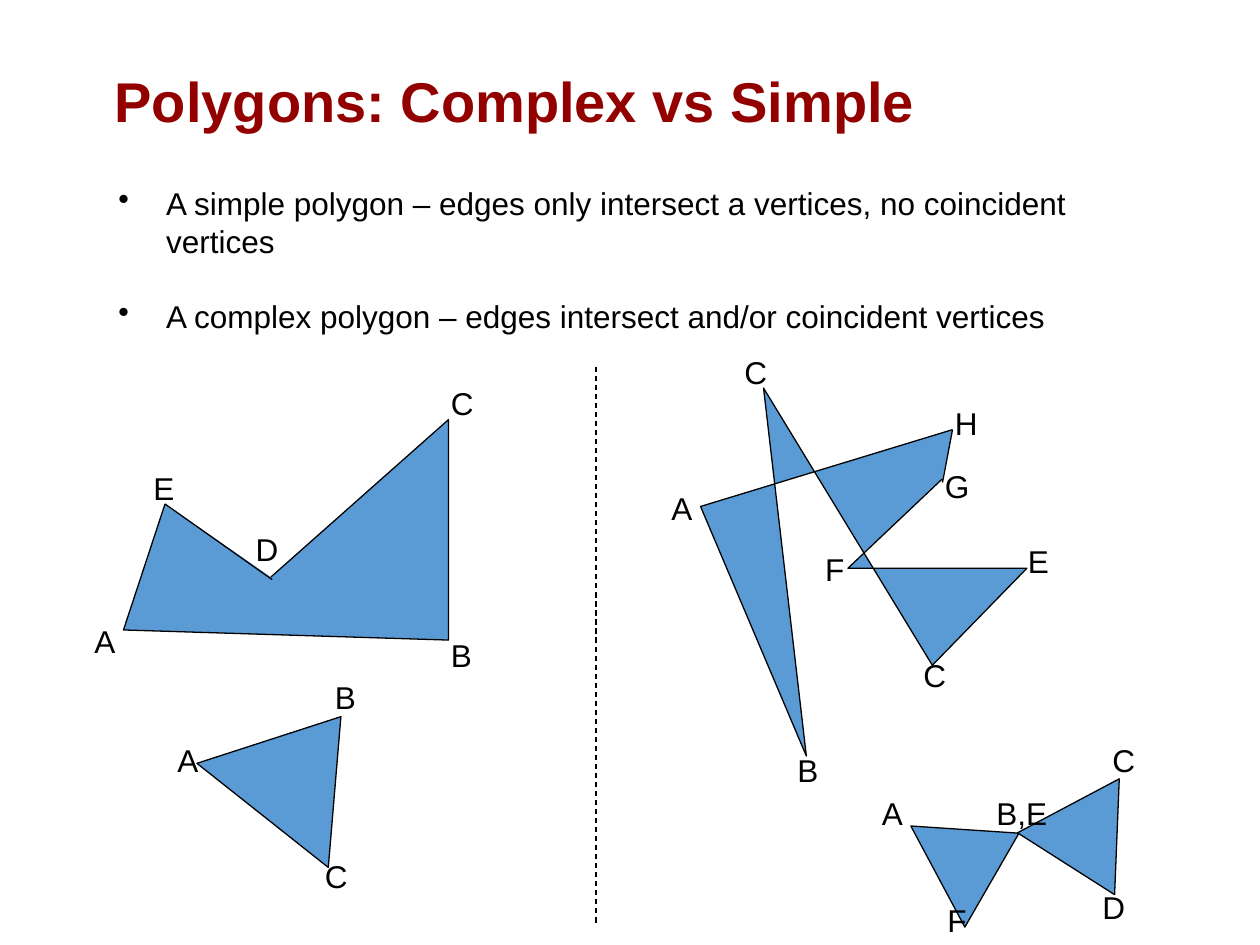
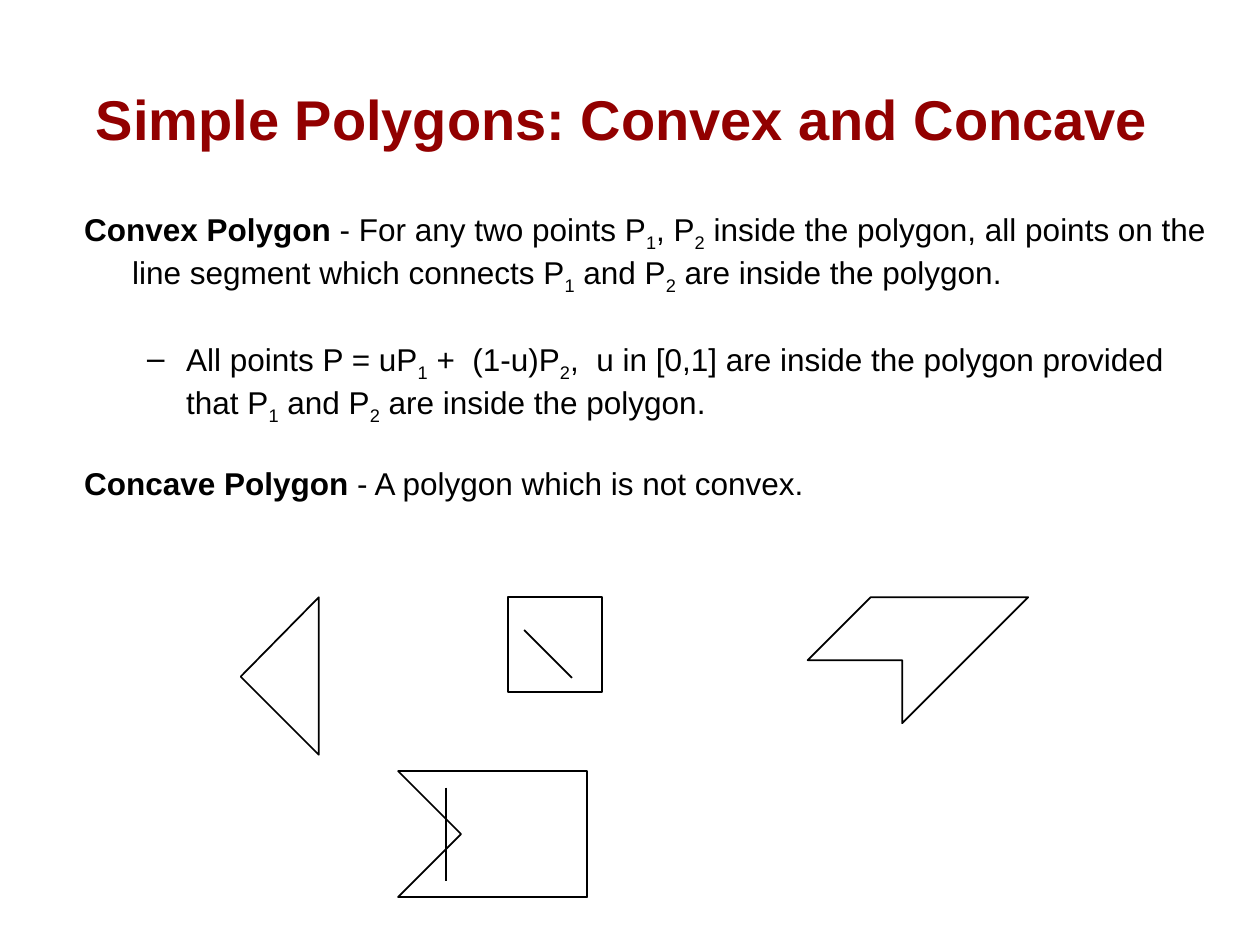
"""Build two slides on simple, complex, convex and concave polygons."""
from dataclasses import dataclass
from typing import Any, NamedTuple

from lxml import etree
from pptx import Presentation
from pptx import util as u
from pptx.dml.color import RGBColor
from pptx.enum import dml, shapes, text
from pptx.oxml import ns

WIDE, HIGH = u.Inches(10), u.Inches(7.5)
COLS, ROWS = 100, 75


@dataclass(frozen=True)
class Theme:
    """Colours, font and sizes in points."""
    font: str = "Arial"
    ink: str = "000000"
    head: str = "920000"
    face: str = "5B9BD5"
    big: int = 32
    body: int = 18
    gap: float = 21.6
    thin: float = 0.75
    firm: float = 1


class Box(NamedTuple):
    """Place and size in grid cells."""
    col: float
    row: float
    wide: float
    high: float


class Tag(NamedTuple):
    """Letter at a vertex."""
    word: str
    col: float
    row: float
    wide: float = 3.7


class Wedge(NamedTuple):
    """Turned triangle."""
    box: Box
    turn: float


class Para(NamedTuple):
    """Body paragraph, where an underscore lowers the next letter."""
    words: str
    lead: str = ""
    mark: str = ""
    left: float = 3.8
    hang: float = 3.8
    above: float = 0


Spot = tuple[float, float]


class Edge(NamedTuple):
    """Straight line between two spots."""
    start: Spot
    end: Spot
    dash: bool = False


LOOK = Theme()

DEFS = [
    Para("A simple polygon – edges only intersect a vertices, no coincident vertices", mark="•"),
    Para("A complex polygon – edges intersect and/or coincident vertices", mark="•", above=LOOK.gap),
]
STAR = [(75.6, 34.1), (55.6, 40.2), (64, 60), (60.6, 30.8),
        (74, 52.8), (81.5, 45.1), (67.3, 45.1), (74.8, 38)]
STARTAGS = [Tag("A", 52.3, 38.3), Tag("B", 62.3, 59.1), Tag("C", 58.1, 27.5),
            Tag("C", 72.3, 51.6), Tag("E", 80.6, 42.5), Tag("F", 64.5, 43.2),
            Tag("G", 74, 36.6), Tag("H", 74.8, 31.6)]
BOW = [Wedge(Box(73.1, 64.2, 9.1, 7.3), 61.9), Wedge(Box(80.1, 62.3, 9.2, 7.9), 272.3)]
BOWTAGS = [Tag("A", 69, 62.5), Tag("B,E", 78.1, 62.5, 6), Tag("C", 87.3, 58.3),
           Tag("D", 86.5, 70), Tag("F", 74.2, 71)]
LONE = Wedge(Box(17.3, 55.8, 13.3, 10), 38.4)
LONETAGS = [Tag("A", 13.1, 58.3), Tag("B", 25.6, 53.3), Tag("C", 24.8, 67.5)]
NOTCH = [(13.1, 40), (9.8, 50), (35.6, 50.8), (35.6, 33.3), (21.5, 45.8)]
NOTCHTAGS = [Tag("A", 6.5, 48.9), Tag("B", 34.8, 50), Tag("C", 34.8, 30),
             Tag("D", 19.3, 41.6), Tag("E", 11.2, 36.7)]

RULES = [
    Para("- For any two points P_1, P_2 inside the polygon, all points on the line segment "
         "which connects P_1 and P_2 are inside the polygon.", lead="Convex Polygon "),
    Para("All points P = uP_1 +  (1-u)P_2,  u in [0,1] are inside the polygon provided "
         "that P_1 and P_2 are inside the polygon.",
         mark="–", left=8.1, hang=3.1, above=LOOK.gap + LOOK.body / 5),
    Para("- A polygon which is not convex.", lead="Concave Polygon ", above=LOOK.gap),
]
PLAIN = [
    [(25.3, 47.4), (19.1, 53.7), (25.3, 59.9)],
    [(40.3, 47.4), (40.3, 54.9), (47.8, 54.9), (47.8, 47.4)],
    [(69.1, 47.4), (64.1, 52.4), (71.6, 52.4), (71.6, 57.4), (81.6, 47.4)],
    [(31.6, 61.2), (46.6, 61.2), (46.6, 71.2), (31.6, 71.2), (36.6, 66.2)],
]
CHORDS = [Edge((35.4, 62.5), (35.4, 69.9)), Edge((41.6, 50), (45.4, 53.8))]


def across(col: float) -> int:
    """Turn columns into a length."""
    return round(WIDE * col / COLS)


def down(row: float) -> int:
    """Turn rows into a length."""
    return round(HIGH * row / ROWS)


def place(box: Box) -> tuple[int, int, int, int]:
    """Turn a grid box into left, top, width and height."""
    return across(box.col), down(box.row), across(box.wide), down(box.high)


def frame(pen: Any, box: Box, side: float = 1, edge: float = 0.5, wrap: bool = False) -> Any:
    """Add a text box and return its text frame."""
    body = pen.add_textbox(*place(box)).text_frame
    body.word_wrap = wrap
    body.margin_left = body.margin_right = across(side)
    body.margin_top = body.margin_bottom = down(edge)
    if not wrap:
        body.auto_size = text.MSO_AUTO_SIZE.SHAPE_TO_FIT_TEXT
    return body


def style(para: Any, size: int, tint: str, bold: bool = False) -> None:
    """Set the font of a paragraph."""
    font = para.font
    font.name, font.size, font.bold = LOOK.font, u.Pt(size), bold
    font.color.rgb = RGBColor.from_string(tint)


def title(pen: Any, words: str, box: Box) -> None:
    """Add a slide title."""
    para = frame(pen, box, 0.7, 0.3).paragraphs[0]
    para.text = words
    para.line_spacing = 0.9
    style(para, LOOK.big, LOOK.head, True)


def fill(para: Any, item: Para) -> None:
    """Write one body paragraph."""
    props = para._p.get_or_add_pPr()
    props.set("marL", str(across(item.left)))
    props.set("indent", str(-across(item.hang)))
    if item.mark:
        etree.SubElement(props, ns.qn("a:buChar")).set("char", item.mark)
    para.space_before = u.Pt(item.above)
    style(para, LOOK.body, LOOK.ink)
    if item.lead:
        run = para.add_run()
        run.text, run.font.bold = item.lead, True
    first, *rest = item.words.split("_")
    para.add_run().text = first
    for part in rest:
        low = para.add_run()
        low.text = part[0]
        low._r.get_or_add_rPr().set("baseline", "-25000")
        para.add_run().text = part[1:]


def prose(pen: Any, items: list[Para], box: Box) -> None:
    """Add the body text."""
    body = frame(pen, box, wrap=True)
    for num, item in enumerate(items):
        fill(body.add_paragraph() if num else body.paragraphs[0], item)


def label(pen: Any, tags: list[Tag]) -> None:
    """Add the letters at the vertices."""
    for tag in tags:
        para = frame(pen, Box(tag.col, tag.row, tag.wide, 4)).paragraphs[0]
        para.text = tag.word
        style(para, LOOK.body, LOOK.ink)


def paint(shape: Any, face: str, width: float) -> None:
    """Set fill and outline, with no fill when no face is given."""
    shape.shadow.inherit = False
    if face:
        shape.fill.solid()
        shape.fill.fore_color.rgb = RGBColor.from_string(face)
    else:
        shape.fill.background()
    shape.line.color.rgb = RGBColor.from_string(LOOK.ink)
    shape.line.width = u.Pt(width)


def outline(pen: Any, spots: list[Spot], face: str, width: float, shut: bool) -> None:
    """Add a polygon through the spots."""
    first, *rest = [(across(col), down(row)) for col, row in spots]
    path = pen.build_freeform(*first)
    path.add_line_segments(rest, close=shut)
    paint(path.convert_to_shape(), face, width)


def wedge(pen: Any, item: Wedge) -> None:
    """Add a turned triangle."""
    shape = pen.add_shape(shapes.MSO_SHAPE.ISOSCELES_TRIANGLE, *place(item.box))
    shape.rotation = item.turn
    paint(shape, LOOK.face, LOOK.thin)


def edge(pen: Any, item: Edge, width: float) -> None:
    """Add a straight line."""
    (col, row), (right, low) = item.start, item.end
    line = pen.add_connector(shapes.MSO_CONNECTOR.STRAIGHT,
                             across(col), down(row), across(right), down(low))
    etree.SubElement(line._element.spPr, ns.qn("a:effectLst"))
    line.line.color.rgb = RGBColor.from_string(LOOK.ink)
    line.line.width = u.Pt(width)
    if item.dash:
        line.line.dash_style = dml.MSO_LINE.DASH


def kinds(pen: Any) -> None:
    """Draw the slide on simple and complex polygons."""
    title(pen, "Polygons: Complex vs Simple", Box(8.4, 5.6, 65.4, 5.4))
    prose(pen, DEFS, Box(8.4, 14.1, 80.8, 23.3))
    star = pen.add_group_shape().shapes
    outline(star, STAR, LOOK.face, LOOK.thin, False)
    edge(star, Edge(STAR[0], (74.8, 38.3)), LOOK.thin)
    label(star, STARTAGS)
    bow = pen.add_group_shape().shapes
    for item in BOW:
        wedge(bow, item)
    label(pen, BOWTAGS)
    wedge(pen, LONE)
    label(pen, LONETAGS)
    outline(pen, NOTCH, LOOK.face, LOOK.thin, False)
    edge(pen, Edge(NOTCH[0], (21.6, 46)), LOOK.thin)
    label(pen, NOTCHTAGS)
    edge(pen, Edge((47.3, 29.1), (47.3, 73.3), True), LOOK.thin)


def bends(pen: Any) -> None:
    """Draw the slide on convex and concave polygons."""
    title(pen, "Simple Polygons: Convex and Concave", Box(6.9, 7, 85.5, 5.4))
    prose(pen, RULES, Box(5.7, 16.2, 91.3, 25))
    for spots in PLAIN:
        outline(pen, spots, "", LOOK.firm, True)
    for item in CHORDS:
        edge(pen, item, LOOK.firm)


def main() -> None:
    """Build and save the deck."""
    deck = Presentation()
    deck.slide_width, deck.slide_height = WIDE, HIGH
    for draw in (kinds, bends):
        draw(deck.slides.add_slide(deck.slide_layouts[6]).shapes)
    deck.save("out.pptx")


if __name__ == "__main__":
    main()
